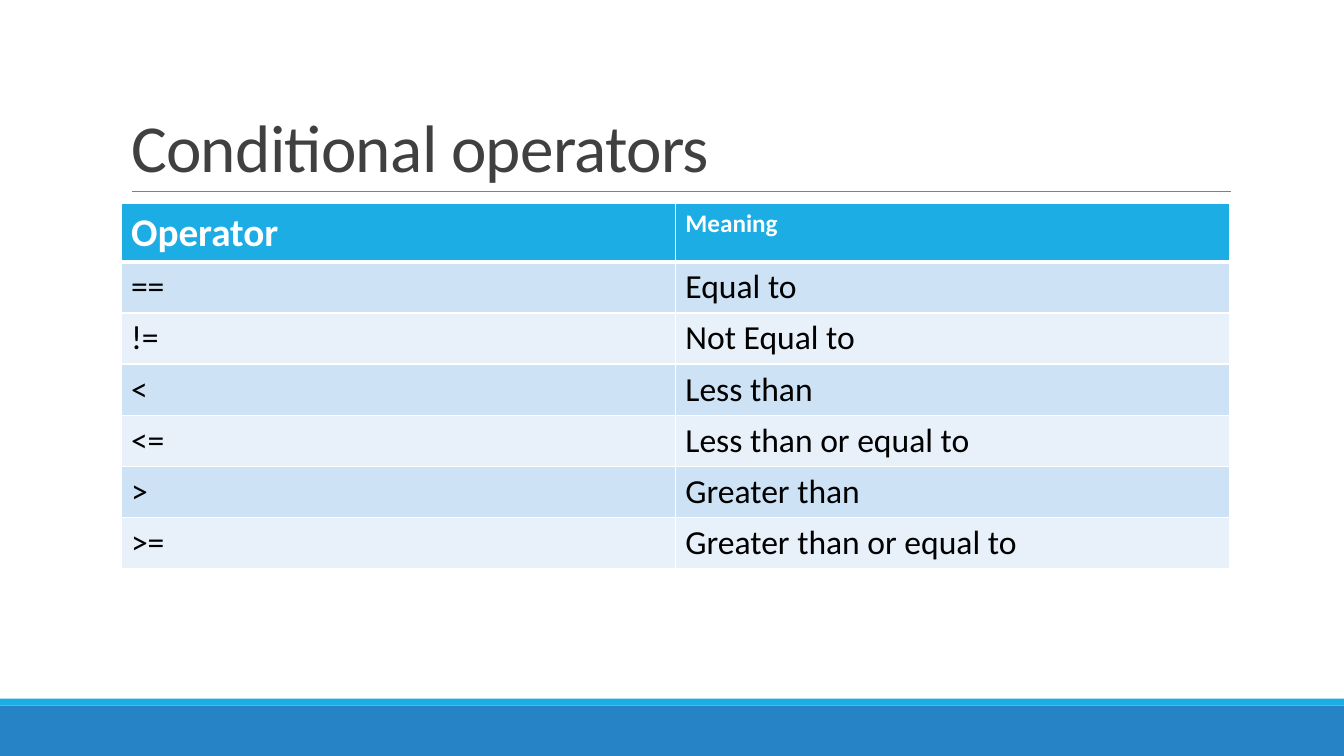
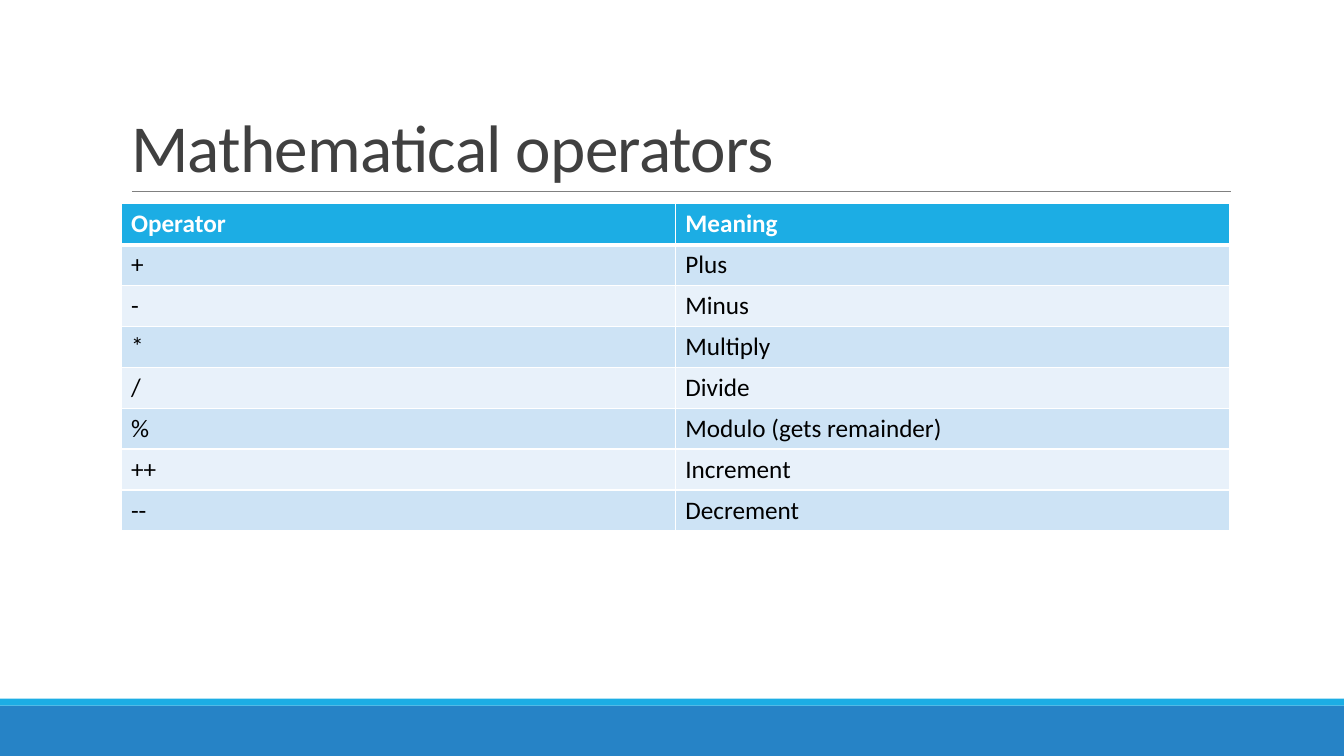
"""Build two slides that list operators and their meanings."""
from lxml.etree import SubElement
from pptx import Presentation
from pptx.dml.color import RGBColor
from pptx.enum.shapes import MSO_CONNECTOR, MSO_SHAPE
from pptx.enum.text import MSO_ANCHOR, MSO_AUTO_SIZE, PP_ALIGN
from pptx.oxml.ns import qn
from pptx.util import Pt

SLIDES = [
    {
        "title": "Conditional operators",
        "head": [("Operator", 28), ("Meaning", 18)],
        "size": 24,
        "rows": [
            ("==", "Equal to"),
            ("!=", "Not Equal to"),
            ("<", "Less than"),
            ("<=", "Less than or equal to"),
            (">", "Greater than"),
            (">=", "Greater than or equal to"),
        ],
    },
    {
        "title": "Mathematical operators",
        "head": [("Operator", 18), ("Meaning", 18)],
        "size": 18,
        "rows": [
            ("+", "Plus"),
            ("-", "Minus"),
            ("*", "Multiply"),
            ("/", "Divide"),
            ("%", "Modulo (gets remainder)"),
            ("++", "Increment"),
            ("--", "Decrement"),
        ],
    },
]

FONT = "Calibri"
WHITE = RGBColor(0xFF, 0xFF, 0xFF)
BLACK = RGBColor(0, 0, 0)
INK = RGBColor(0x40, 0x40, 0x40)
GRAY = RGBColor(0x80, 0x80, 0x80)
BLUE = RGBColor(0x26, 0x83, 0xC6)
CYAN = RGBColor(0x1C, 0xAD, 0xE4)
STRIPES = [RGBColor(0xCD, 0xE3, 0xF5), RGBColor(0xE8, 0xF1, 0xFA)]

WIDE, HIGH = 960, 540
LEFT, SPAN = 86.4, 792
TOP, ROW = 145.6, 29.2
BANDS = [(504, 36, BLUE), (499, 5, CYAN)]
RULE = (94.3, 879.1, 136.9)


def write(para, text, size, color, bold=False):
    run = para.add_run()
    run.text = text
    font = run.font
    font.name, font.size, font.bold = FONT, Pt(size), bold
    font.color.rgb = color
    return run


def frame(slide):
    for top, high, color in BANDS:
        band = slide.shapes.add_shape(
            MSO_SHAPE.RECTANGLE, 0, Pt(top), Pt(WIDE), Pt(high))
        band.shadow.inherit = False
        band.fill.solid()
        band.fill.fore_color.rgb = color
        band.line.fill.background()
    start, end, level = RULE
    rule = slide.shapes.add_connector(
        MSO_CONNECTOR.STRAIGHT, Pt(start), Pt(level), Pt(end), Pt(level))
    rule.line.color.rgb = GRAY
    rule.line.width = Pt(0.5)
    SubElement(rule._element.spPr, qn("a:effectLst"))


def head(slide, text):
    title = slide.shapes.title
    title.left, title.top = Pt(LEFT), Pt(22.6)
    title.width, title.height = Pt(SPAN), Pt(114.3)
    box = title.text_frame
    box.word_wrap = True
    box.auto_size = MSO_AUTO_SIZE.NONE
    box.vertical_anchor = MSO_ANCHOR.BOTTOM
    para = box.paragraphs[0]
    para.alignment = PP_ALIGN.LEFT
    para.line_spacing = 0.85
    run = write(para, text, 48, INK)
    run._r.get_or_add_rPr().set("spc", "-50")


def edge(cell, row):
    props = cell._tc.get_or_add_tcPr()
    widths = {"L": 1, "R": 1, "T": 3 if row == 1 else 1,
              "B": 3 if row == 0 else 1}
    for side, width in widths.items():
        line = SubElement(props, qn(f"a:ln{side}"), w=str(Pt(width)))
        fill = SubElement(line, qn("a:solidFill"))
        SubElement(fill, qn("a:srgbClr"), val=str(WHITE))


def grid(slide, data):
    body = [[(text, data["size"]) for text in pair] for pair in data["rows"]]
    lines = [data["head"]] + body
    count = len(lines)
    table = slide.shapes.add_table(
        count, 2, Pt(LEFT), Pt(TOP), Pt(SPAN), Pt(ROW * count)).table
    for row, line in enumerate(lines):
        table.rows[row].height = Pt(ROW)
        first = row == 0
        for col, (text, size) in enumerate(line):
            cell = table.cell(row, col)
            edge(cell, row)
            cell.fill.solid()
            cell.fill.fore_color.rgb = CYAN if first else STRIPES[(row - 1) % 2]
            write(cell.text_frame.paragraphs[0], text, size,
                  WHITE if first else BLACK, first)


deck = Presentation()
deck.slide_width, deck.slide_height = Pt(WIDE), Pt(HIGH)
for data in SLIDES:
    slide = deck.slides.add_slide(deck.slide_layouts[5])
    frame(slide)
    head(slide, data["title"])
    grid(slide, data)
deck.save("out.pptx")
